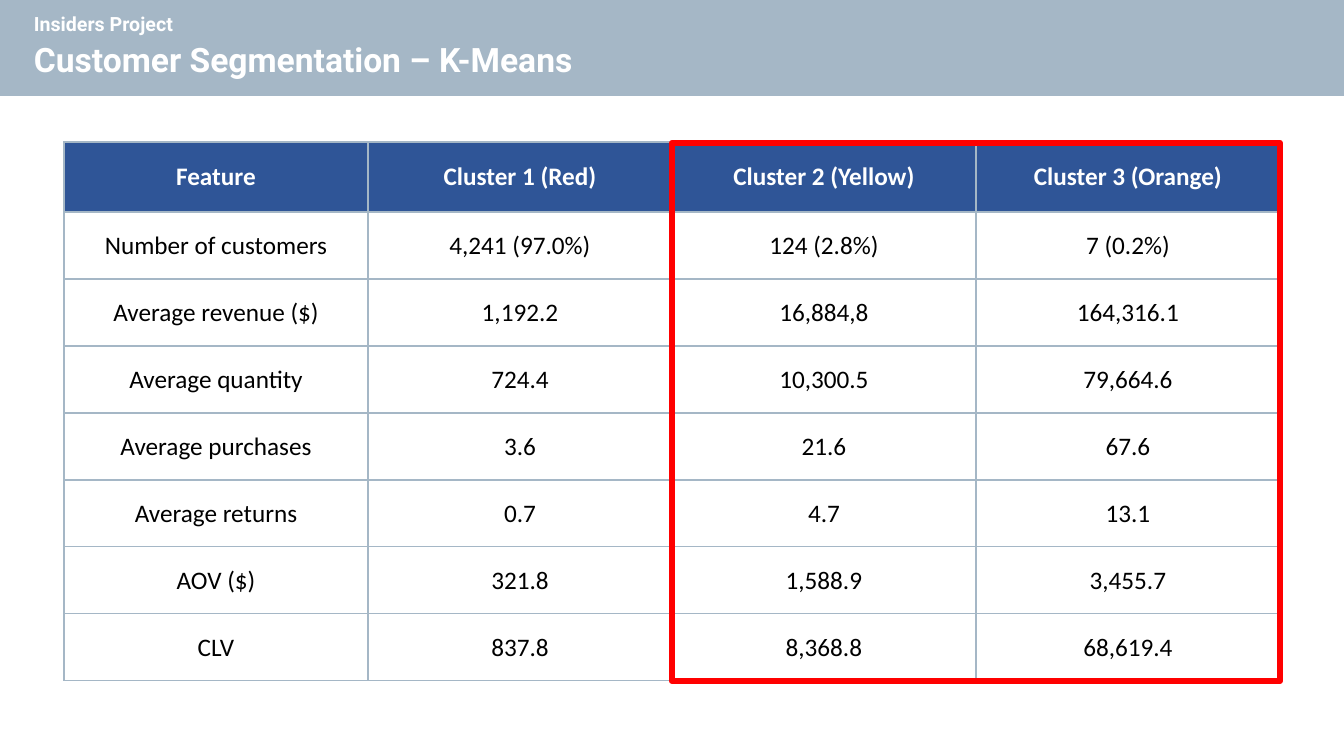
from lxml import etree
from pptx import Presentation, util as u
from pptx.dml.color import RGBColor
from pptx.enum import shapes, text
from pptx.oxml.ns import qn

SCALE = 914400 / 100.8
COLORS = {"band": "A5B7C6", "header": "2F5597", "white": "FFFFFF",
          "black": "000000", "highlight": "FF0000"}
ROWS = [
    ["Feature", "Cluster 1 (Red)", "Cluster 2 (Yellow)", "Cluster 3 (Orange)"],
    ["Number of customers", "4,241 (97.0%)", "124 (2.8%)", "7 (0.2%)"],
    ["Average revenue ($)", "1,192.2", "16,884,8", "164,316.1"],
    ["Average quantity", "724.4", "10,300.5", "79,664.6"],
    ["Average purchases", "3.6", "21.6", "67.6"],
    ["Average returns", "0.7", "4.7", "13.1"],
    ["AOV ($)", "321.8", "1,588.9", "3,455.7"],
    ["CLV", "837.8", "8,368.8", "68,619.4"],
]
LEFT, TOP, COLUMN, HEADER, ROW = 64, 142, 304, 70, 67
HEIGHT = HEADER + ROW * (len(ROWS) - 1)


def px(*lengths):
    return [u.Emu(round(length * SCALE)) for length in lengths]


def write(para, words, color, **formats):
    span = para.add_run()
    span.text = words
    span.font.color.rgb = RGBColor.from_string(COLORS[color])
    for name, value in formats.items():
        setattr(span.font, name, value)


deck = Presentation()
deck.slide_width, deck.slide_height = px(1344, 756)
page = deck.slides.add_slide(deck.slide_layouts[6])

band = page.shapes.add_shape(shapes.MSO_SHAPE.RECTANGLE, *px(0, 0, 1344, 96))
band.shadow.inherit = False
band.fill.solid()
band.fill.fore_color.rgb = RGBColor.from_string(COLORS["band"])
band.line.fill.background()

table = page.shapes.add_table(
    len(ROWS), len(ROWS[0]), *px(LEFT, TOP, COLUMN * len(ROWS[0]), HEIGHT)).table
table.horz_banding = False
for column in table.columns:
    column.width = px(COLUMN)[0]
for index, values in enumerate(ROWS):
    heading = index == 0
    table.rows[index].height = px(HEADER if heading else ROW)[0]
    for cell, value in zip(table.rows[index].cells, values):
        cell.vertical_anchor = text.MSO_ANCHOR.MIDDLE
        para = cell.text_frame.paragraphs[0]
        para.alignment = text.PP_ALIGN.CENTER
        write(para, value, "white" if heading else "black",
              name="Calibri", size=u.Pt(18), bold=heading)
        props = cell._tc.get_or_add_tcPr()
        for side in ("a:lnL", "a:lnR", "a:lnT", "a:lnB"):
            border = etree.SubElement(props, qn(side), w=str(u.Pt(1)))
            paint = etree.SubElement(border, qn("a:solidFill"))
            etree.SubElement(paint, qn("a:srgbClr"), val=COLORS["band"])
        if heading:
            cell.fill.solid()
            cell.fill.fore_color.rgb = RGBColor.from_string(COLORS["header"])
        else:
            cell.fill.background()

box = page.shapes.add_textbox(*px(24, 7, 1008, 82))
frame = box.text_frame
frame.word_wrap = True
frame.vertical_anchor = text.MSO_ANCHOR.MIDDLE
project, title = frame.paragraphs[0], frame.add_paragraph()
title.space_before = u.Pt(10)
for para, words, size in ((project, "Insiders Project", 14),
                          (title, "Customer Segmentation – K-Means", 24)):
    para.line_spacing = 0.75
    write(para, words, "white", name="Roboto", size=u.Pt(size), bold=True)

highlight = page.shapes.add_shape(
    shapes.MSO_SHAPE.RECTANGLE, *px(LEFT + COLUMN * 2, TOP + 1, COLUMN * 2, HEIGHT - 1))
highlight.shadow.inherit = False
highlight.fill.background()
highlight.line.color.rgb = RGBColor.from_string(COLORS["highlight"])
highlight.line.width = u.Pt(4.5)

deck.save("out.pptx")
